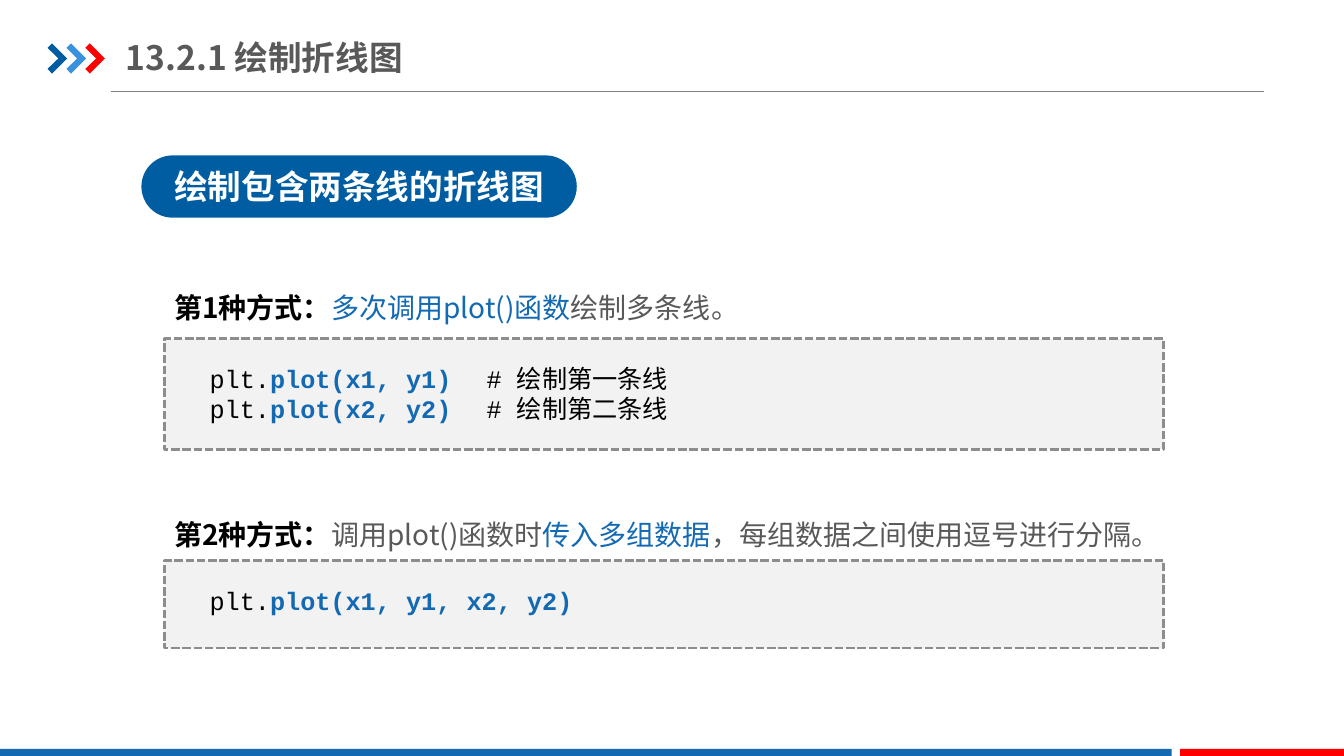
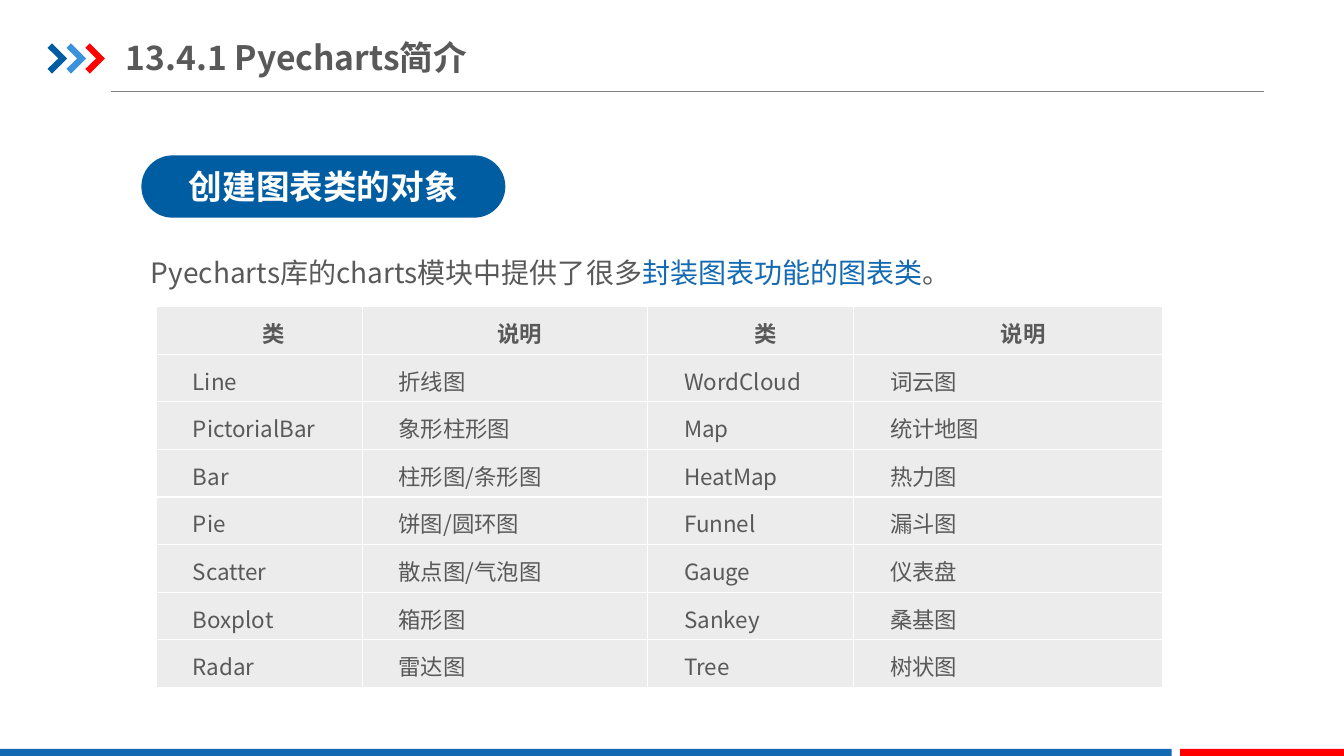
import pptx
import pptx.dml.color
import pptx.enum.dml
import pptx.enum.shapes
import pptx.enum.text
import pptx.oxml
import pptx.oxml.ns
import pptx.util

Pt = pptx.util.Pt
SHAPE = pptx.enum.shapes.MSO_SHAPE
ALIGN = pptx.enum.text.PP_ALIGN
MIDDLE = pptx.enum.text.MSO_ANCHOR.MIDDLE
TOP = pptx.enum.text.MSO_ANCHOR.TOP

COLORS = {
    "navy": "005DA2", "sky": "3992DB", "blue": "1369B2", "red": "FF0000",
    "text": "595959", "black": "000000", "white": "FFFFFF", "rule": "808080",
    "code_fill": "F2F2F2", "code_line": "8D8D8D", "cell": "ECECEC",
}
FONT = "Noto Sans CJK SC"
CODE_FONT = "Courier New"


def rgb(color):
    return pptx.dml.color.RGBColor.from_string(COLORS[color])


def add_xml(parent, tag, content="", attributes=""):
    namespace = pptx.oxml.ns.nsdecls("a")
    parent.append(pptx.oxml.parse_xml(
        f"<a:{tag} {namespace} {attributes}>{content}</a:{tag}>"))


class Deck:
    """Holds the presentation, its style and the current page."""

    def __init__(self):
        self.presentation = pptx.Presentation()
        self.presentation.slide_width = Pt(960)
        self.presentation.slide_height = Pt(540)
        self.page = None

    def add_page(self, title):
        layout = self.presentation.slide_layouts[5]  # title only
        self.page = self.presentation.slides.add_slide(layout)
        self.rule(79, 903, 65.5)
        for index, color in enumerate(("navy", "sky", "red")):
            self.chevron(34 + index * 13.5, 31, color)
        self.shape(SHAPE.RECTANGLE, 0, 535, 837, 5, "blue")
        self.shape(SHAPE.RECTANGLE, 843, 535, 117, 5, "red")
        self.title(title)

    # Shared page furniture
    def rule(self, left, right, top):
        line = self.page.shapes.add_connector(
            pptx.enum.shapes.MSO_CONNECTOR.STRAIGHT,
            Pt(left), Pt(top), Pt(right), Pt(top))
        line.line.color.rgb = rgb("rule")
        line.line.width = Pt(0.75)
        add_xml(line.element.spPr, "effectLst")

    def chevron(self, left, top, color):
        outline = [(0, 3.2), (3.2, 0), (14, 10.8), (3.2, 21.6), (0, 18.2), (7.7, 10.8)]
        points = [(Pt(left + x), Pt(top + y)) for x, y in outline]
        builder = self.page.shapes.build_freeform(*points[0])
        builder.add_line_segments(points[1:], close=True)
        self.paint(builder.convert_to_shape(), color)

    def title(self, text):
        box = self.page.shapes.title
        box.left, box.top, box.width, box.height = Pt(90), Pt(21), Pt(780), Pt(40)
        frame = box.text_frame
        frame.auto_size = pptx.enum.text.MSO_AUTO_SIZE.NONE
        self.frame(frame, MIDDLE, 0, 5)
        para = frame.paragraphs[0]
        para.alignment = ALIGN.LEFT
        self.span(para, text, 24, "text", bold=True)

    # Text and shapes
    def paint(self, shape, fill):
        shape.shadow.inherit = False
        shape.fill.solid()
        shape.fill.fore_color.rgb = rgb(fill)
        shape.line.fill.background()

    def shape(self, kind, left, top, width, height, fill):
        shape = self.page.shapes.add_shape(kind, Pt(left), Pt(top), Pt(width), Pt(height))
        self.paint(shape, fill)
        return shape

    def frame(self, frame, anchor, side=7.2, edge=3.6):
        frame.word_wrap = True
        frame.vertical_anchor = anchor
        frame.margin_left = frame.margin_right = Pt(side)
        frame.margin_top = frame.margin_bottom = Pt(edge)

    def span(self, para, text, size, color, bold=False, font=FONT):
        span = para.add_run()
        span.text = text
        span.font.size = Pt(size)
        span.font.bold = bold
        span.font.name = font
        span.font.color.rgb = rgb(color)
        add_xml(span.font._element, "ea", attributes=f'typeface="{FONT}"')

    def text_box(self, left, top, width, height):
        box = self.page.shapes.add_textbox(Pt(left), Pt(top), Pt(width), Pt(height))
        self.frame(box.text_frame, TOP)
        return box.text_frame

    def pill(self, text, width):
        pill = self.shape(SHAPE.ROUNDED_RECTANGLE, 101, 111, width, 44.5, "navy")
        pill.adjustments[0] = 0.5
        self.frame(pill.text_frame, MIDDLE)
        para = pill.text_frame.paragraphs[0]
        para.alignment = ALIGN.CENTER
        self.span(para, text, 24, "white", bold=True)

    def sentence(self, left, top, spans):
        para = self.text_box(left, top, 800, 44).paragraphs[0]
        para.line_spacing = 1.5
        for text, color, bold in spans:
            self.span(para, text, 20, color, bold)

    def code(self, top, height, lines):
        panel = self.shape(SHAPE.RECTANGLE, 117.4, top, 714, height, "code_fill")
        panel.line.color.rgb = rgb("code_line")
        panel.line.width = Pt(2)
        panel.line.dash_style = pptx.enum.dml.MSO_LINE.SQUARE_DOT
        frame = self.text_box(124.6, top + 14, 701, 7.2 + 22 * len(lines))
        for index, (call, comment) in enumerate(lines):
            para = frame.add_paragraph() if index else frame.paragraphs[0]
            properties = para._p.get_or_add_pPr()
            properties.set("indent", str(Pt(18)))
            self.span(para, "plt.", 18, "black", font=CODE_FONT)
            self.span(para, call, 18, "blue", True, CODE_FONT)
            if comment:
                add_xml(properties, "tabLst", f'<a:tab pos="{Pt(224)}" algn="l"/>')
                self.span(para, "\t" + comment, 18, "black", font=CODE_FONT)

    # Table
    def table(self, left, top, widths, row_height, rows):
        table = self.page.shapes.add_table(
            len(rows), len(widths), Pt(left), Pt(top),
            Pt(sum(widths)), Pt(row_height * len(rows))).table
        table.first_row = table.horz_banding = False
        for column, width in zip(table.columns, widths):
            column.width = Pt(width)
        for row_index, row in enumerate(rows):
            table.rows[row_index].height = Pt(row_height)
            for column_index, text in enumerate(row):
                self.cell(table.cell(row_index, column_index), text, row_index == 0)

    def cell(self, cell, text, header):
        properties = cell._tc.get_or_add_tcPr()
        for side in ("lnL", "lnR", "lnT", "lnB"):
            add_xml(properties, side,
                    f'<a:solidFill><a:srgbClr val="{COLORS["white"]}"/></a:solidFill>',
                    f'w="{Pt(1)}"')
        cell.fill.solid()
        cell.fill.fore_color.rgb = rgb("cell")
        cell.vertical_anchor = MIDDLE
        cell.margin_left = cell.margin_right = Pt(5)
        cell.margin_top = cell.margin_bottom = Pt(0)
        para = cell.text_frame.paragraphs[0]
        para.alignment = ALIGN.CENTER if header else ALIGN.LEFT
        para.line_spacing = 1.15
        para._p.get_or_add_pPr().set("indent", str(Pt(21)))
        self.span(para, text, 16, "text", bold=header)


def main():
    deck = Deck()

    # Two ways to draw two lines
    deck.add_page("13.2.1 绘制折线图")
    deck.pill("绘制包含两条线的折线图", 311)
    deck.sentence(117.4, 192, [
        ("第1种方式：", "black", True),
        ("多次调用plot()函数", "blue", False),
        ("绘制多条线。", "text", False),
    ])
    deck.code(242, 79, [
        ("plot(x1, y1)", "# 绘制第一条线"),
        ("plot(x2, y2)", "# 绘制第二条线"),
    ])
    deck.sentence(117.4, 354, [
        ("第2种方式：", "black", True),
        ("调用plot()函数时", "text", False),
        ("传入多组数据", "blue", False),
        ("，每组数据之间使用逗号进行分隔。", "text", False),
    ])
    deck.code(400.4, 62.5, [("plot(x1, y1, x2, y2)", None)])

    # Chart classes
    deck.add_page("13.4.1 Pyecharts简介")
    deck.pill("创建图表类的对象", 260)
    deck.sentence(100.8, 167, [
        ("Pyecharts库的charts模块中提供了很多", "text", False),
        ("封装图表功能的图表类", "blue", False),
        ("。", "text", False),
    ])
    deck.table(111.8, 219, [147, 204, 147, 221], 34, [
        ("类", "说明", "类", "说明"),
        ("Line", "折线图", "WordCloud", "词云图"),
        ("PictorialBar", "象形柱形图", "Map", "统计地图"),
        ("Bar", "柱形图/条形图", "HeatMap", "热力图"),
        ("Pie", "饼图/圆环图", "Funnel", "漏斗图"),
        ("Scatter", "散点图/气泡图", "Gauge", "仪表盘"),
        ("Boxplot", "箱形图", "Sankey", "桑基图"),
        ("Radar", "雷达图", "Tree", "树状图"),
    ])

    deck.presentation.save("out.pptx")


if __name__ == "__main__":
    main()
